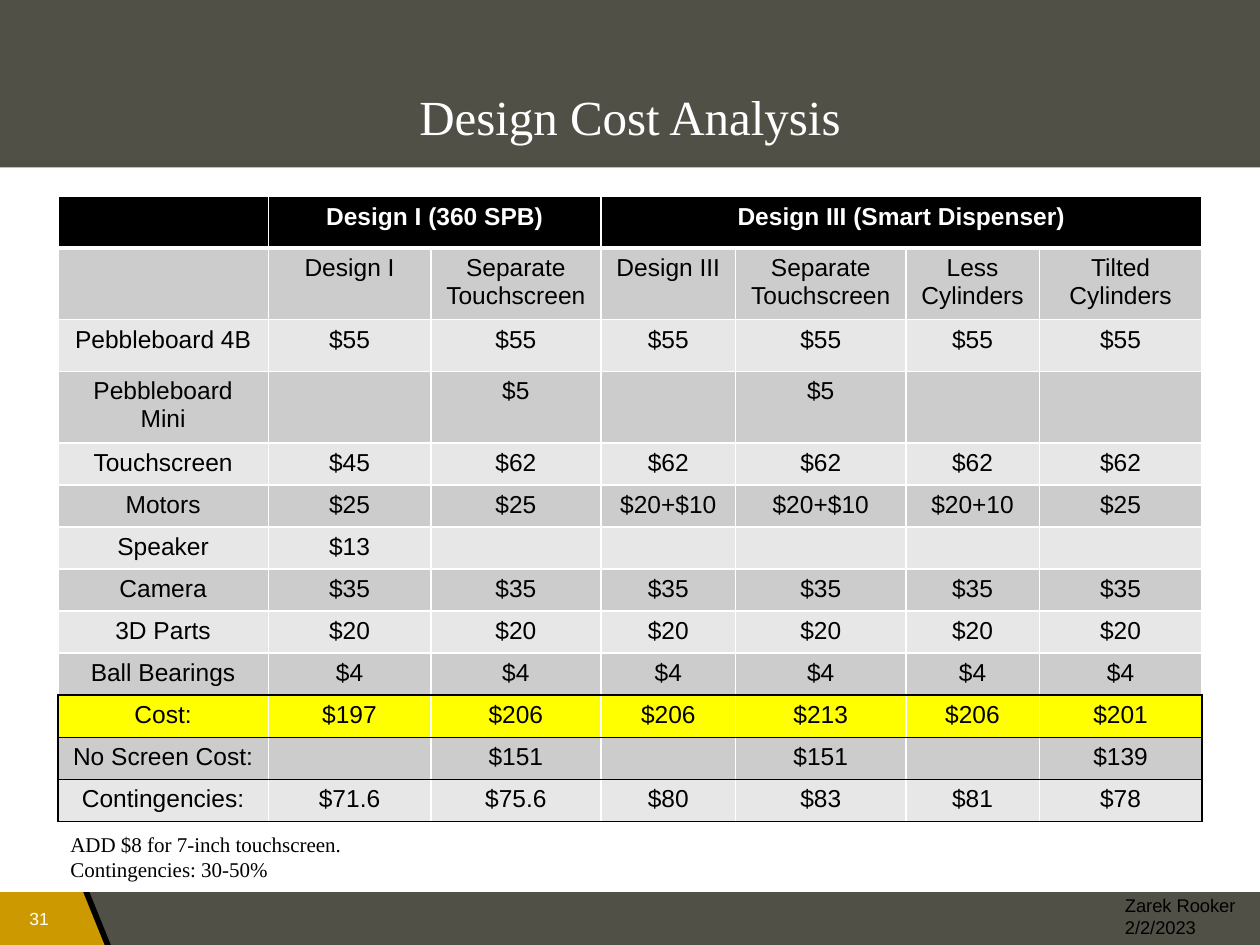
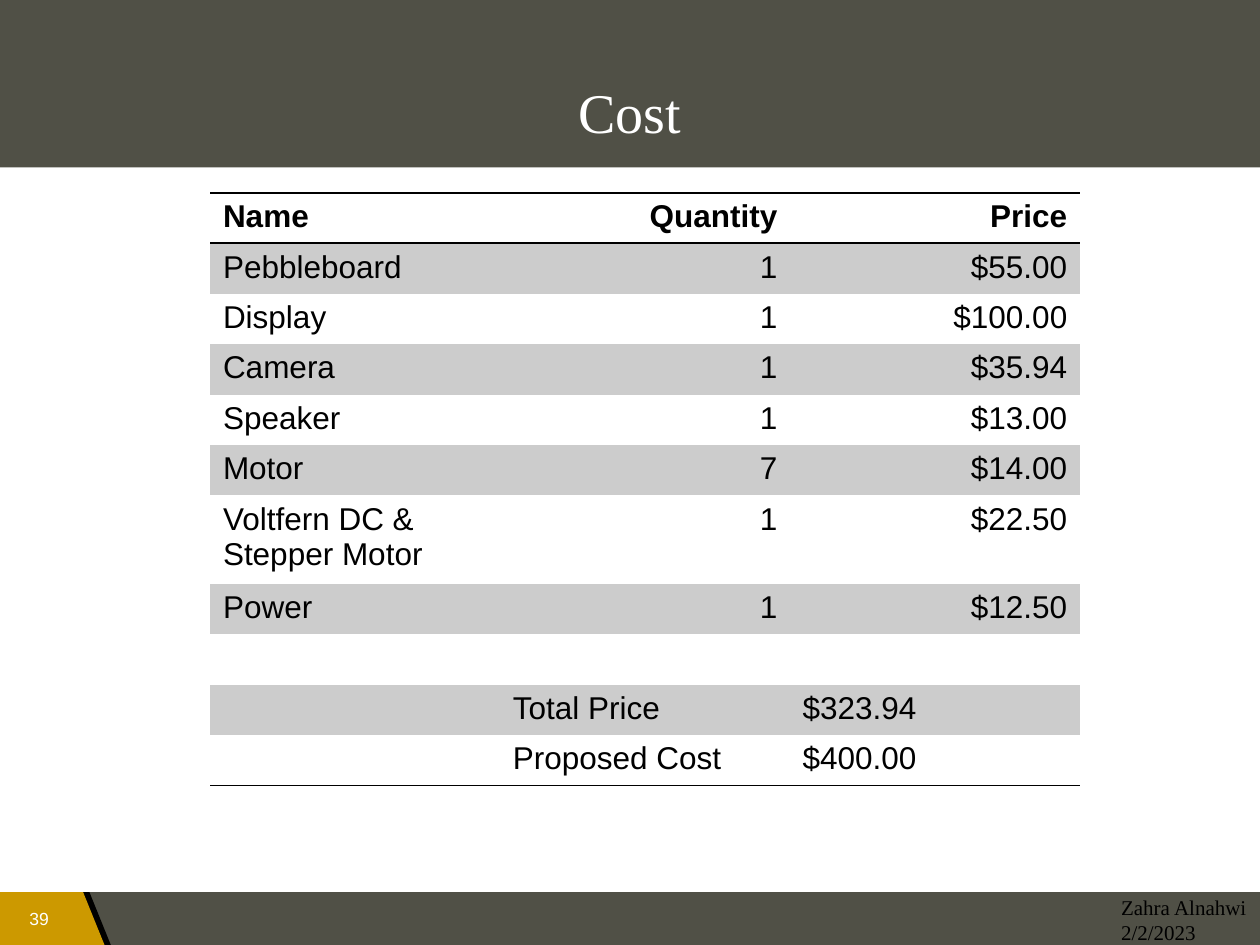
from dataclasses import dataclass

from lxml.etree import SubElement
from pptx import Presentation
from pptx.dml.color import RGBColor
from pptx.enum.shapes import MSO_SHAPE as Preset
from pptx.enum.text import MSO_ANCHOR as Anchor, PP_ALIGN as Align
from pptx.oxml.ns import qn
from pptx.util import Inches, Pt

OLIVE, GOLD, BLACK, WHITE = "505046", "CC9900", "000000", "FFFFFF"
DARK_BAND, LIGHT_BAND, YELLOW = "CCCCCC", "E7E7E7", "FFFF00"
SANS, SERIF = "Arial", "Times New Roman"
FOOTER_TOP, SLIDE_HEIGHT = 7.08, 7.5


@dataclass
class Style:
    size: float
    font: str = SANS
    color: str = BLACK
    bold: bool = False
    align: Align = Align.LEFT


@dataclass
class Box:
    left: float
    top: float
    width: float
    height: float

    def inches(self) -> list:
        return [Inches(v) for v in (self.left, self.top, self.width, self.height)]


@dataclass
class Page:
    title: str
    title_size: float
    number: int
    author: str
    author_style: Style
    author_box: Box


@dataclass
class Border:
    color: str | None = None
    width: float = 1


@dataclass
class CellLook:
    style: Style
    fill: str | None
    left: Border
    right: Border
    top: Border
    bottom: Border


def rgb(color: str) -> RGBColor:
    return RGBColor.from_string(color)


def write(frame, text: str, style: Style) -> None:
    """Fill a text frame, one paragraph for each line."""
    for index, line in enumerate(text.split("\n")):
        paragraph = frame.paragraphs[0] if index == 0 else frame.add_paragraph()
        paragraph.alignment = style.align
        if not line:
            SubElement(paragraph._p, qn("a:endParaRPr"), sz=str(int(style.size * 100)))
            continue
        run = paragraph.add_run()
        run.text = line
        formats = {"size": Pt(style.size), "name": style.font, "bold": style.bold}
        for name, value in formats.items():
            setattr(run.font, name, value)
        run.font.color.rgb = rgb(style.color)


def add_text(slide, box: Box, text: str, style: Style,
             anchor: Anchor = Anchor.TOP, wrap: bool = True) -> None:
    frame = slide.shapes.add_textbox(*box.inches()).text_frame
    frame.word_wrap = wrap
    frame.vertical_anchor = anchor
    write(frame, text, style)


def paint(shape, color: str) -> None:
    shape.shadow.inherit = False
    shape.fill.solid()
    shape.fill.fore_color.rgb = rgb(color)
    shape.line.fill.background()


def add_band(slide, box: Box, preset: Preset = Preset.RECTANGLE):
    band = slide.shapes.add_shape(preset, *box.inches())
    paint(band, OLIVE)
    return band


def add_number_tab(slide, left: float, color: str) -> None:
    """Draw the slanted tab behind the page number."""
    points = [(left + 0.66, FOOTER_TOP), (left + 0.83, SLIDE_HEIGHT), (left, SLIDE_HEIGHT)]
    builder = slide.shapes.build_freeform(Inches(left), Inches(FOOTER_TOP))
    builder.add_line_segments([(Inches(x), Inches(y)) for x, y in points], close=True)
    paint(builder.convert_to_shape(), color)


def add_page(presentation, page: Page):
    """Add a slide with the shared bands, title, page number and author."""
    slide = presentation.slides.add_slide(presentation.slide_layouts[6])
    footer = add_band(slide, Box(0, FOOTER_TOP, 10, 0.42), Preset.SNIP_1_RECTANGLE)
    footer.adjustments[0] = 0
    for left, color in ((0.05, BLACK), (0, GOLD)):
        add_number_tab(slide, left, color)
    add_band(slide, Box(0, 0, 10, 1.33))
    add_text(slide, Box(0.1, 7.14, 0.42, 0.3), str(page.number),
             Style(10, color=WHITE, align=Align.CENTER), Anchor.MIDDLE, wrap=False)
    add_text(slide, Box(0, 0.27, 10, 0.93), page.title,
             Style(page.title_size, SERIF, WHITE, align=Align.CENTER), Anchor.BOTTOM)
    add_band(slide, Box(6.58, 7.14, 3.42, 0.33))
    add_text(slide, page.author_box, f"{page.author}\n2/2/2023", page.author_style, wrap=False)
    return slide


def set_border(cell, side: str, border: Border) -> None:
    line = SubElement(cell._tc.get_or_add_tcPr(), qn(f"a:ln{side}"), w=str(Pt(border.width)))
    if border.color is None:
        SubElement(line, qn("a:noFill"))
    else:
        SubElement(SubElement(line, qn("a:solidFill")), qn("a:srgbClr"), val=border.color)


def format_cell(cell, text: str, look: CellLook) -> None:
    write(cell.text_frame, text, look.style)
    borders = {"L": look.left, "R": look.right, "T": look.top, "B": look.bottom}
    for side, border in borders.items():
        set_border(cell, side, border)
    if look.fill is None:
        cell.fill.background()
    else:
        cell.fill.solid()
        cell.fill.fore_color.rgb = rgb(look.fill)


def add_table(slide, left: float, top: float, widths: list[float],
              heights: list[float], rows: list[list[str]], look_of):
    """Add a table; look_of(row, column) gives the look of each cell."""
    box = Box(left, top, sum(widths), sum(heights))
    table = slide.shapes.add_table(len(rows), len(widths), *box.inches()).table
    table.first_row = table.horz_banding = False
    for column, width in zip(table.columns, widths):
        column.width = Inches(width)
    for row, height in zip(table.rows, heights):
        row.height = Inches(height)
    for r, texts in enumerate(rows):
        for c, text in enumerate(texts):
            format_cell(table.cell(r, c), text, look_of(r, c))
    return table


# Design comparison
SEPARATE = "Separate\nTouchscreen"
DESIGN_ROWS = [
    ["", "Design I (360 SPB)", "", "Design III (Smart Dispenser)", "", "", ""],
    ["", "Design I", SEPARATE, "Design III", SEPARATE, "Less\nCylinders", "Tilted Cylinders"],
    ["Pebbleboard 4B"] + ["$55"] * 6,
    ["Pebbleboard Mini", "", "$5", "", "$5", "", ""],
    ["Touchscreen", "$45"] + ["$62"] * 5,
    ["Motors", "$25", "$25", "$20+$10", "$20+$10", "$20+10", "$25"],
    ["Speaker", "$13"] + [""] * 5,
    ["Camera"] + ["$35"] * 6,
    ["3D Parts"] + ["$20"] * 6,
    ["Ball Bearings"] + ["$4"] * 6,
    ["Cost:", "$197", "$206", "$206", "$213", "$206", "$201"],
    ["No Screen Cost:", "", "$151", "", "$151", "", "$139"],
    ["Contingencies:", "$71.6", "$75.6", "$80", "$83", "$81", "$78"],
]
COST_ROW = 10


def design_look(row: int, column: int) -> CellLook:
    header, summary = row == 0, row >= COST_ROW
    if header:
        fill = BLACK
    elif row == COST_ROW:
        fill = YELLOW
    else:
        fill = DARK_BAND if row % 2 else LIGHT_BAND
    style = Style(14, color=WHITE if header else BLACK, bold=header, align=Align.CENTER)
    return CellLook(
        style, fill,
        left=Border(BLACK if summary and column == 0 else WHITE),
        right=Border(BLACK if summary and column == 6 else WHITE),
        top=Border(BLACK if summary else WHITE, 3 if row == 1 else 1),
        bottom=Border(BLACK if row >= COST_ROW - 1 else WHITE, 3 if header else 1))


def add_design_costs(presentation) -> None:
    page = Page("Design Cost Analysis", 28, 31, "Zarek Rooker",
                Style(10.5), Box(8.83, 7.05, 1.17, 0.45))
    slide = add_page(presentation, page)
    table = add_table(slide, 0.46, 1.56, [1.67, 1.29, 1.35, 1.07, 1.35, 1.06, 1.29],
                      [0.41, 0.53, 0.41, 0.53] + [0.32] * 9, DESIGN_ROWS, design_look)
    for first, last in ((1, 2), (3, 6)):
        table.cell(0, first).merge(table.cell(0, last))
    add_text(slide, Box(0.46, 6.55, 8.95, 0.5),
             "ADD $8 for 7-inch touchscreen.\nContingencies: 30-50%", Style(12, SERIF))


# Parts list
PART_ROWS = [
    ["Name", "Quantity", "Price"],
    ["Pebbleboard", "1", "$55.00"],
    ["Display", "1", "$100.00"],
    ["Camera", "1", "$35.94"],
    ["Speaker", "1", "$13.00"],
    ["Motor", "7", "$14.00"],
    ["Voltfern DC & Stepper Motor", "1", "$22.50"],
    ["Power", "1", "$12.50"],
    ["", "", ""],
    ["", "Total Price", "$323.94"],
    ["", "Proposed Cost", "$400.00"],
]
TOTAL_ROW = 9


def part_look(row: int, column: int) -> CellLook:
    align = Align.RIGHT if column and row < TOTAL_ROW else Align.LEFT
    ruled, plain = Border(BLACK), Border()
    return CellLook(
        Style(18, bold=row == 0, align=align),
        DARK_BAND if row % 2 else None,
        left=plain, right=plain,
        top=ruled if row in (0, 1) else plain,
        bottom=ruled if row in (0, len(PART_ROWS) - 1) else plain)


def add_part_costs(presentation) -> None:
    page = Page("Cost", 32, 39, "Zahra Alnahwi",
                Style(12, SERIF), Box(8.8, 7.05, 1.2, 0.45))
    slide = add_page(presentation, page)
    heights = [0.66 if row[0].startswith("Voltfern") else 0.38 for row in PART_ROWS]
    add_table(slide, 1.67, 1.53, [2.3] * 3, heights, PART_ROWS, part_look)


def main() -> None:
    presentation = Presentation()
    presentation.slide_width = Inches(10)
    presentation.slide_height = Inches(SLIDE_HEIGHT)
    add_design_costs(presentation)
    add_part_costs(presentation)
    presentation.save("out.pptx")


if __name__ == "__main__":
    main()
